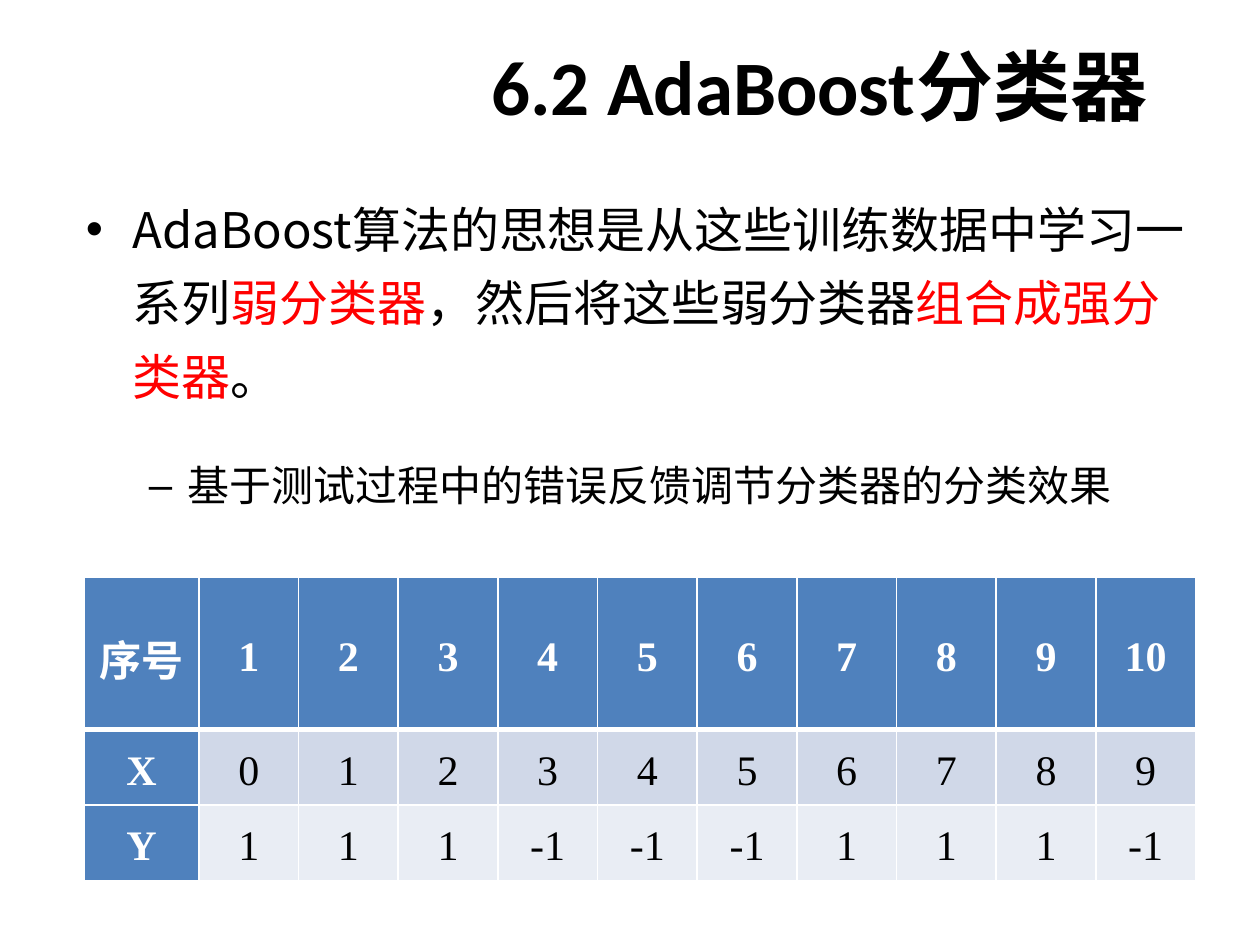
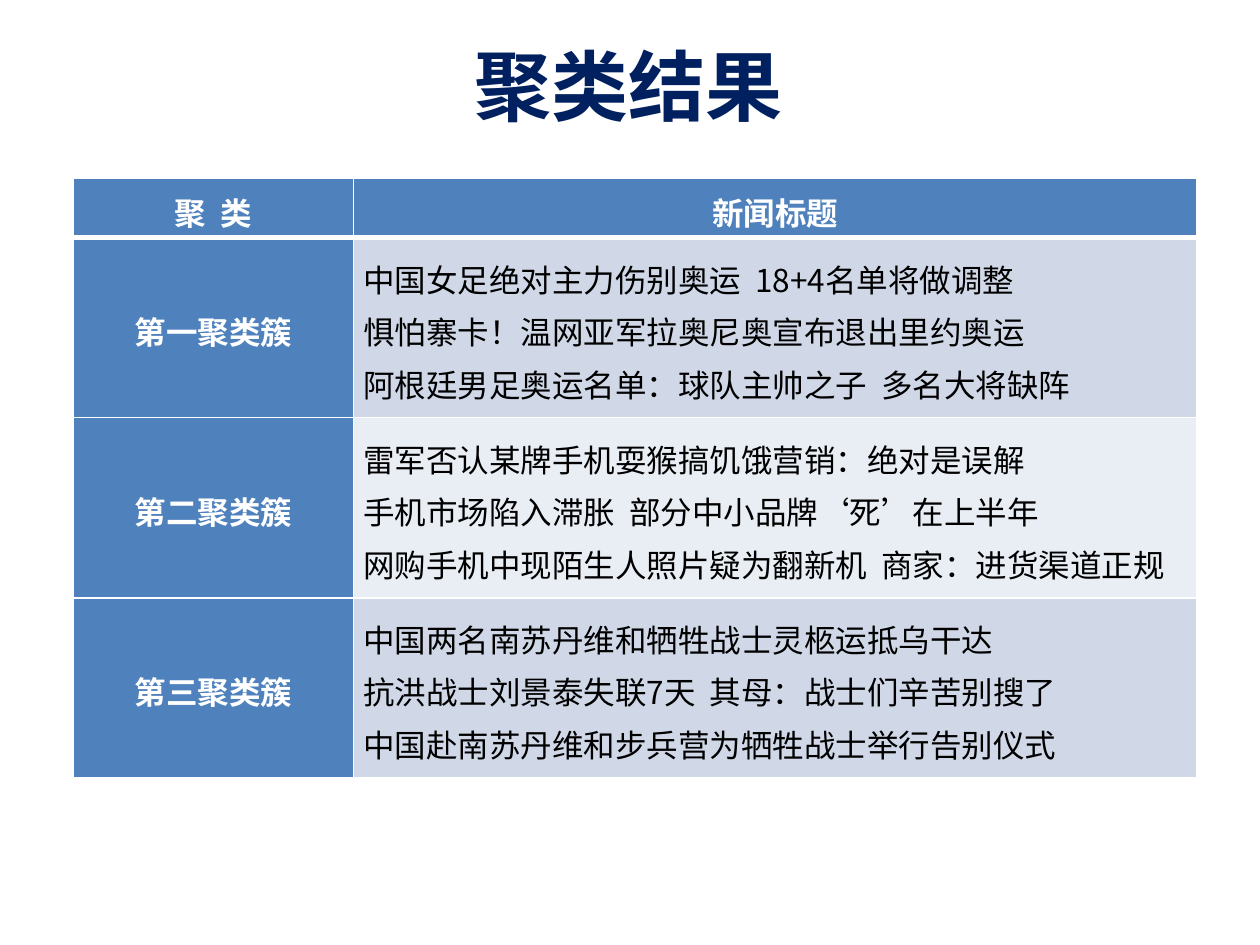
import pptx
import pptx.util
import pptx.dml.color
import pptx.enum.text
import pptx.oxml.ns
import lxml.etree

Cm = pptx.util.Cm
Pt = pptx.util.Pt
RGBColor = pptx.dml.color.RGBColor
ALIGN = pptx.enum.text.PP_ALIGN
ANCHOR = pptx.enum.text.MSO_ANCHOR
qn = pptx.oxml.ns.qn

BLACK = RGBColor(0x00, 0x00, 0x00)
WHITE = RGBColor(0xFF, 0xFF, 0xFF)
RED = RGBColor(0xFF, 0x00, 0x00)
NAVY = RGBColor(0x00, 0x20, 0x60)
BLUE = RGBColor(0x4F, 0x81, 0xBD)
BANDS = (RGBColor(0xD0, 0xD8, 0xE8), RGBColor(0xE9, 0xED, 0xF4))

CJK_FONT = "Noto Sans CJK SC"
TITLE_BOX = (9.32, 0.43, 14.4, 2.54)


def write(paragraph, text, size, font=CJK_FONT, color=BLACK, bold=False,
          align=None, spacing=None, before=None):
    """Add text to a paragraph as one formatted run."""
    run = paragraph.add_run()
    run.text = text
    run.font.name, run.font.size = font, Pt(size)
    run.font.bold = bold
    run.font.color.rgb = color
    east_asian = lxml.etree.Element(qn("a:ea"), typeface=CJK_FONT)
    run.font._element.find(qn("a:latin")).addnext(east_asian)
    if align is not None:
        paragraph.alignment = align
    if spacing is not None:
        paragraph.line_spacing = spacing
    if before is not None:
        paragraph.space_before = Pt(before)


def add_text_frame(slide, box, anchor):
    shape = slide.shapes.add_textbox(*map(Cm, box))
    frame = shape.text_frame
    frame.word_wrap = True
    frame.vertical_anchor = anchor
    return frame


def add_title(slide, text, color, align):
    frame = add_text_frame(slide, TITLE_BOX, ANCHOR.MIDDLE)
    write(frame.paragraphs[0], text, 44, font="Calibri", color=color,
          bold=True, align=align)


def set_bullet(paragraph, character, left, hanging):
    properties = paragraph._p.get_or_add_pPr()
    properties.set("marL", str(Cm(left)))
    properties.set("indent", str(-Cm(hanging)))
    lxml.etree.SubElement(properties, qn("a:buFont"), typeface="Arial")
    lxml.etree.SubElement(properties, qn("a:buChar"), char=character)


def add_body(slide, box):
    frame = add_text_frame(slide, box, ANCHOR.TOP)
    idea = frame.paragraphs[0]
    for text, color in (
            ("AdaBoost算法的思想是从这些训练数据中学习一系列", BLACK),
            ("弱分类器", RED),
            ("，然后将这些弱分类器", BLACK),
            ("组合成强分类器", RED),
            ("。", BLACK)):
        write(idea, text, 28, color=color, spacing=Pt(42), before=18)
    set_bullet(idea, "•", 0.95, 0.95)

    detail = frame.add_paragraph()
    detail.level = 1
    write(detail, "基于测试过程中的错误反馈调节分类器的分类效果", 24,
          spacing=Pt(42), before=18)
    set_bullet(detail, "–", 2.06, 0.79)


def set_borders(cell, top, bottom):
    """Draw white borders; the side borders are 1 pt wide."""
    properties = cell._tc.get_or_add_tcPr()
    for side, width in (("L", 1), ("R", 1), ("T", top), ("B", bottom)):
        line = lxml.etree.SubElement(properties, qn("a:ln" + side),
                                     w=str(Pt(width)))
        fill = lxml.etree.SubElement(line, qn("a:solidFill"))
        lxml.etree.SubElement(fill, qn("a:srgbClr"), val=str(WHITE))


def add_banded_table(slide, left, top, widths, heights, rows, size, font,
                     body_align):
    """Blue header row and first column, banded body; a cell may hold lines."""
    table = slide.shapes.add_table(
        len(heights), len(widths), Cm(left), Cm(top),
        Cm(sum(widths)), Cm(sum(heights))).table
    for column, width in zip(table.columns, widths):
        column.width = Cm(width)
    for row, height in zip(table.rows, heights):
        row.height = Cm(height)

    for i, values in enumerate(rows):
        for j, value in enumerate(values):
            cell = table.cell(i, j)
            heading = i == 0 or j == 0
            set_borders(cell, top=3 if i == 1 else 1, bottom=3 if i == 0 else 1)
            cell.fill.solid()
            cell.fill.fore_color.rgb = BLUE if heading else BANDS[(i - 1) % 2]
            cell.vertical_anchor = ANCHOR.MIDDLE
            cell.margin_left = cell.margin_right = Cm(0.19)
            cell.margin_top = cell.margin_bottom = 0
            for k, line in enumerate(str(value).split("\n")):
                frame = cell.text_frame
                paragraph = frame.add_paragraph() if k else frame.paragraphs[0]
                write(paragraph, line, size, font=font, bold=heading,
                      color=WHITE if heading else BLACK,
                      align=ALIGN.CENTER if heading else body_align,
                      spacing=1.15)


def build_adaboost_slide(slide):
    add_title(slide, "6.2 AdaBoost分类器", BLACK, ALIGN.CENTER)
    add_body(slide, (1.48, 3.6, 22.65, 14.8))
    # Training samples
    samples = [
        ["序号", *range(1, 11)],
        ["X", *range(10)],
        ["Y", 1, 1, 1, -1, -1, -1, 1, 1, 1, -1],
    ]
    add_banded_table(slide, 1.7, 11.64, [2.31] + [2.01] * 10,
                     [3.07, 1.52, 1.52], samples, 24, "Times New Roman",
                     ALIGN.CENTER)


def build_cluster_slide(slide):
    add_title(slide, "聚类结果", NAVY, ALIGN.LEFT)
    # News headlines by cluster
    clusters = [
        ("聚  类", "新闻标题"),
        ("第一聚类簇",
         "中国女足绝对主力伤别奥运  18+4名单将做调整\n"
         "惧怕寨卡！温网亚军拉奥尼奥宣布退出里约奥运\n"
         "阿根廷男足奥运名单：球队主帅之子  多名大将缺阵"),
        ("第二聚类簇",
         "雷军否认某牌手机耍猴搞饥饿营销：绝对是误解\n"
         "手机市场陷入滞胀  部分中小品牌‘死’在上半年\n"
         "网购手机中现陌生人照片疑为翻新机  商家：进货渠道正规"),
        ("第三聚类簇",
         "中国两名南苏丹维和牺牲战士灵柩运抵乌干达\n"
         "抗洪战士刘景泰失联7天  其母：战士们辛苦别搜了\n"
         "中国赴南苏丹维和步兵营为牺牲战士举行告别仪式"),
    ]
    add_banded_table(slide, 1.48, 3.6, [5.65, 17], [1.19] + [3.63] * 3,
                     clusters, 18, CJK_FONT, ALIGN.LEFT)


def main():
    presentation = pptx.Presentation()
    presentation.slide_width, presentation.slide_height = Cm(25.4), Cm(19.05)
    blank = presentation.slide_layouts[6]
    for build in (build_adaboost_slide, build_cluster_slide):
        build(presentation.slides.add_slide(blank))
    presentation.save("out.pptx")


if __name__ == "__main__":
    main()
